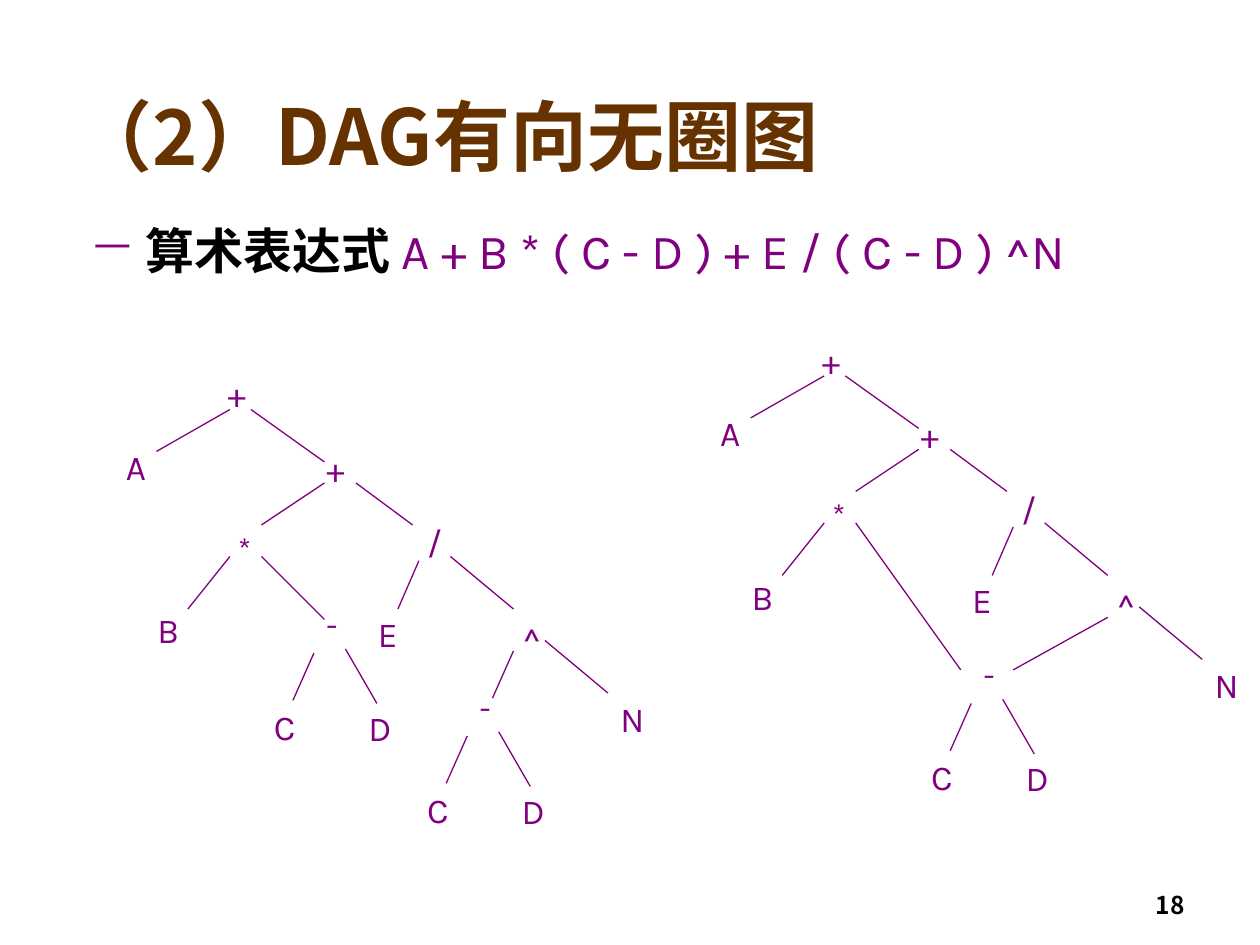
"""Build a slide comparing an expression tree with its directed acyclic graph."""
from lxml.etree import SubElement
from pptx import Presentation
from pptx.dml.color import RGBColor
from pptx.enum.shapes import MSO_CONNECTOR
from pptx.enum.text import MSO_ANCHOR, MSO_AUTO_SIZE, PP_ALIGN
from pptx.oxml.ns import qn
from pptx.util import Inches, Pt

COLORS = {"title": "663300", "ink": "000000", "graph": "800080", "paper": "FFFFFF"}
CJK, LATIN = "Noto Sans CJK SC", "Karla"

deck = Presentation()
deck.slide_width, deck.slide_height = Inches(10), Inches(7.5)
CELL = deck.slide_width / 120
slide = deck.slides.add_slide(deck.slide_layouts[5])
slide.background.fill.solid()
slide.background.fill.fore_color.rgb = RGBColor.from_string(COLORS["paper"])


def add_run(paragraph, text, size, color, face=LATIN, bold=False):
    run = paragraph.add_run()
    run.text = text
    run.font.size, run.font.bold, run.font.name = Pt(size), bold, face
    run.font.color.rgb = RGBColor.from_string(COLORS[color])
    SubElement(run.font._element, qn("a:ea")).set("typeface", CJK)


def add_frame(column, row, columns, rows):
    box = slide.shapes.add_textbox(*(round(n * CELL) for n in (column, row, columns, rows)))
    box.text_frame.word_wrap = True
    return box.text_frame


heading = slide.shapes.title
heading.left, heading.top, heading.width, heading.height = (
    round(n * CELL) for n in (6, 3.8, 108, 18.1))
heading.text_frame.auto_size = MSO_AUTO_SIZE.NONE
heading.text_frame.vertical_anchor = MSO_ANCHOR.MIDDLE
heading.text_frame.paragraphs[0].alignment = PP_ALIGN.LEFT
add_run(heading.text_frame.paragraphs[0], "（2）DAG有向无圈图", 44, "title", CJK, True)

page_frame = add_frame(86, 82, 28, 6.2)
page_frame.vertical_anchor = MSO_ANCHOR.BOTTOM
page_frame.paragraphs[0].alignment = PP_ALIGN.RIGHT
add_run(page_frame.paragraphs[0], "18", 14, "ink", CJK, True)

expression = add_frame(7.3, 20.4, 108.4, 12.5).paragraphs[0]
indents = expression._p.get_or_add_pPr()
indents.set("marL", str(Inches(0.45)))
indents.set("indent", str(-Inches(0.45)))
bullet_color = SubElement(indents, qn("a:buClr"))
SubElement(bullet_color, qn("a:srgbClr")).set("val", COLORS["graph"])
SubElement(indents, qn("a:buSzPct")).set("val", "120000")
SubElement(indents, qn("a:buChar")).set("char", "−")
add_run(expression, "算术表达式 ", 28, "ink", bold=True)
add_run(expression, "A + B * ( C - D ) + E / ( C - D ) ^N", 28, "graph")

# label, column, row, columns wide
shared_nodes = [
    ("+", 5.6, -4.1, 5.3), ("+", 15, 3, 5), ("/", 24.6, 10, 4.4),
    ("A", -4.1, 2.8, 5), ("*", 6.6, 10.8, 4.4), ("E", 19.9, 18.7, 5),
    ("B", -1.1, 18.4, 5), ("^", 33.7, 19, 6.2), ("N", 43, 26.8, 5),
]
shared_edges = [
    (0, 4, 7, 0), (9, 0, 16, 5), (16, 7, 10, 11), (19, 7, 24.4, 11),
    (28, 14, 34, 19), (25, 14.4, 23, 19), (7, 14, 3, 19), (37, 22, 43, 27),
]
difference_nodes = [("-", 0, 0, 5), ("C", -5, 9.6, 5), ("D", 4, 9.7, 6.2)]
difference_edges = [(3, 4.8, 6, 10), (0, 5.2, -2, 9.7)]

graphs = [
    {"origin": (14.9, 39), "differences": [(15, 18), (29.6, 25.9)],
     "edges": [(10, 14, 16, 20), (34, 23, 32, 27.5)]},
    {"origin": (71.5, 35.8), "differences": [(21, 26)],
     "edges": [(10, 14, 20, 28), (34, 23, 25, 28)]},
]

parts = []
for graph in graphs:
    left, top = graph["origin"]
    parts.append((left, top, shared_nodes, shared_edges + graph["edges"]))
    for column, row in graph["differences"]:
        parts.append((left + column, top + row, difference_nodes, difference_edges))

for left, top, nodes, edges in parts:
    for x1, y1, x2, y2 in edges:
        edge = slide.shapes.add_connector(MSO_CONNECTOR.STRAIGHT, *(
            round(n * CELL) for n in (left + x1, top + y1, left + x2, top + y2)))
        edge.line.color.rgb = RGBColor.from_string(COLORS["graph"])
        edge.line.width = Pt(0.75)
        SubElement(edge._element.spPr, qn("a:effectLst"))
    for label, column, row, columns in nodes:
        size = 18 if label in "*-" else 20
        node = add_frame(left + column, top + row, columns, 4.8 if size == 18 else 5.3)
        node.paragraphs[0].space_before = Pt(size * 0.625)
        add_run(node.paragraphs[0], label, size, "graph")

deck.save("out.pptx")
